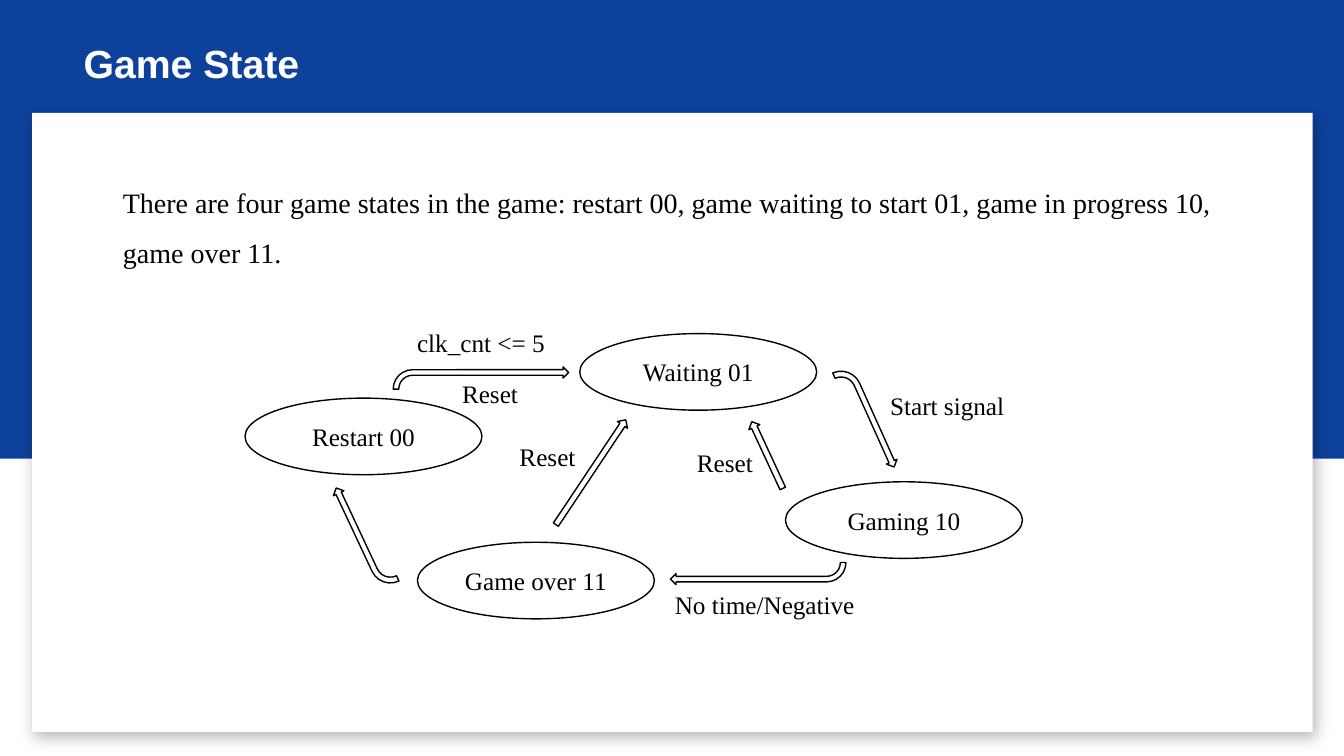
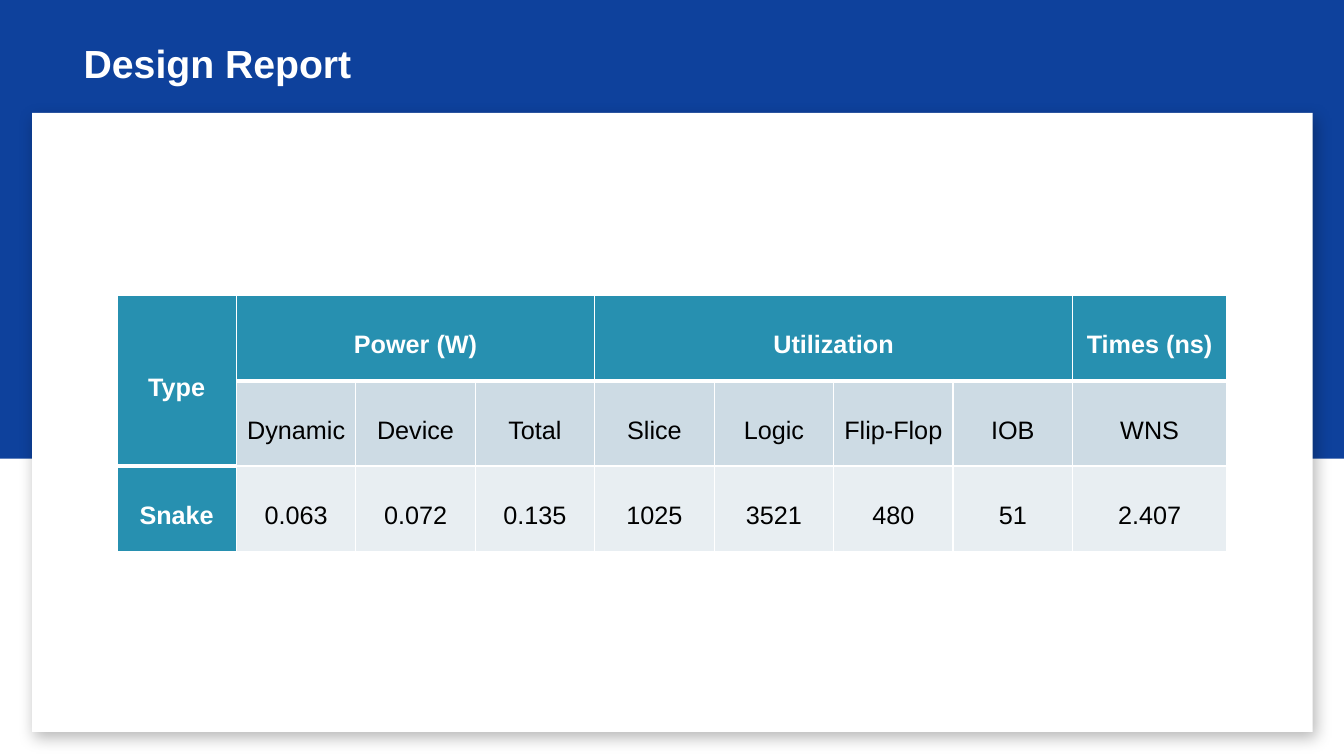
from lxml import etree
from pptx import Presentation
from pptx.dml.color import RGBColor
from pptx.enum.shapes import MSO_SHAPE
from pptx.enum.text import MSO_ANCHOR, MSO_AUTO_SIZE, PP_ALIGN
from pptx.oxml import parse_xml
from pptx.oxml.ns import nsdecls, qn
from pptx.util import Emu, Pt

RECTANGLE, OVAL = MSO_SHAPE.RECTANGLE, MSO_SHAPE.OVAL
BENT_ARROW, UP_ARROW = MSO_SHAPE.BENT_ARROW, MSO_SHAPE.UP_ARROW
LEFT, CENTER = PP_ALIGN.LEFT, PP_ALIGN.CENTER
TOP, MIDDLE, BOTTOM = MSO_ANCHOR.TOP, MSO_ANCHOR.MIDDLE, MSO_ANCHOR.BOTTOM
NO_AUTOFIT = MSO_AUTO_SIZE.NONE

EMU_PER_PX = 9144  # 100 px to the inch
SLIDE_SIZE = (1333, 750)
BLUE, WHITE, BLACK = "0E419C", "FFFFFF", "000000"
TEAL, SUBHEAD_FILL, VALUE_FILL = "2790B0", "CDDBE4", "E8EEF2"
SANS, SERIF = "Arial", "Times New Roman"

# Shared frame: left, top, width, height
BAND = (0, 0, 1333, 455)
PANEL = (32, 112, 1270, 614)
TITLE = (73, 27, 1187, 64)

# Game states
STATE_TITLE = "Game State"
INTRO = ("There are four game states in the game: restart 00, game waiting "
         "to start 01, game in progress 10, game over 11.")
INTRO_BOX = (112, 162, 1116, 105)
STATE_SIZE = (235, 76)
STATES = [("Restart 00", 243, 395), ("Waiting 01", 575, 331),
          ("Gaming 10", 779, 478), ("Game over 11", 414, 538)]
ARROWS = [  # shape, box, rotation
    (BENT_ARROW, (390, 364, 174, 22), 0),
    (BENT_ARROW, (665, 558, 174, 22), 180),
    (BENT_ARROW, (804, 404, 110, 23), 65.8),
    (BENT_ARROW, (307, 520, 110, 23), 244.9),
    (UP_ARROW, (580, 406, 12, 125), 33.7),
    (UP_ARROW, (755, 415, 12, 73), 335.1),
]
BENT_ADJUSTMENTS = (0.25, 0.25, 0.25, 0.875)
LABELS = [  # text, box, alignment
    ("clk_cnt <= 5", (391, 320, 172, 36), CENTER),
    ("No time/Negative", (642, 580, 233, 66), CENTER),
    ("Start signal", (873, 382, 169, 40), LEFT),
    ("Reset", (400, 370, 172, 40), CENTER),
    ("Reset", (457, 433, 172, 40), CENTER),
    ("Reset", (633, 439, 172, 40), CENTER),
]

# Design report
REPORT_TITLE = "Design Report"
REPORT_BOX = (116, 293, 1101, 254)
LAST_COLUMN = 153
REPORT_ROWS = [
    ["Type", "Power (W)", None, None, "Utilization", None, None, None,
     "Times (ns)"],
    [None, "Dynamic", "Device", "Total", "Slice", "Logic", "Flip-Flop",
     "IOB", "WNS"],
    ["Snake", "0.063", "0.072", "0.135", "1025", "3521", "480", "51",
     "2.407"],
]
MERGES = [((0, 0), (1, 0)), ((0, 1), (0, 3)), ((0, 4), (0, 7))]
ROW_FILLS = [TEAL, SUBHEAD_FILL, VALUE_FILL]


def px(value):
    return Emu(round(value * EMU_PER_PX))


def place(box):
    return [px(value) for value in box]


def color(value):
    return RGBColor.from_string(value)


def write(frame, text, size, font_name, text_color, align=LEFT, anchor=TOP,
          bold=False, spacing=None):
    frame.word_wrap = True
    frame.vertical_anchor = anchor
    paragraph = frame.paragraphs[0]
    paragraph.alignment = align
    if spacing:
        paragraph.line_spacing = spacing
    run = paragraph.add_run()
    run.text = text
    font = run.font
    font.size, font.name, font.bold = Pt(size), font_name, bold
    font.color.rgb = color(text_color)


def add_shape(slide, kind, box, fill=None, line=None):
    shape = slide.shapes.add_shape(kind, *place(box))
    shape.shadow.inherit = False
    if fill:
        shape.fill.solid()
        shape.fill.fore_color.rgb = color(fill)
    else:
        shape.fill.background()
    if line:
        shape.line.color.rgb = color(line)
        shape.line.width = Pt(1)
    else:
        shape.line.fill.background()
    return shape


def add_text(slide, box, text, size, **style):
    text_box = slide.shapes.add_textbox(*place(box))
    write(text_box.text_frame, text, size, SERIF, BLACK, **style)


def add_shadow(shape):
    effects = shape.element.spPr.find(qn("a:effectLst"))
    effects.append(parse_xml(
        f'<a:outerShdw {nsdecls("a")} blurRad="{Pt(11)}" dist="{Pt(5)}" '
        f'dir="{65 * 60000}" algn="t" rotWithShape="0">'
        f'<a:srgbClr val="{BLACK}"><a:alpha val="28000"/></a:srgbClr>'
        '</a:outerShdw>'))


def add_framed_slide(presentation, title_text):
    slide = presentation.slides.add_slide(presentation.slide_layouts[5])
    add_shape(slide, RECTANGLE, BAND, BLUE)
    add_shadow(add_shape(slide, RECTANGLE, PANEL, WHITE))
    title = slide.shapes.title
    title.left, title.top, title.width, title.height = place(TITLE)
    write(title.text_frame, title_text, 28, SANS, WHITE, anchor=BOTTOM,
          bold=True, spacing=0.9)
    title.text_frame.auto_size = NO_AUTOFIT
    # Bring the title in front of the band
    title.element.getparent().append(title.element)
    return slide


def add_borders(cell, thick_sides):
    properties = cell._tc.get_or_add_tcPr()
    for side in "LRTB":
        width = Pt(3 if side in thick_sides else 1)
        line = etree.SubElement(properties, qn(f"a:ln{side}"), w=str(width))
        fill = etree.SubElement(line, qn("a:solidFill"))
        etree.SubElement(fill, qn("a:srgbClr"), val=WHITE)


def build_states(presentation):
    slide = add_framed_slide(presentation, STATE_TITLE)
    add_text(slide, INTRO_BOX, INTRO, 20, spacing=1.5)
    for kind, box, rotation in ARROWS:
        arrow = add_shape(slide, kind, box, line=BLACK)
        arrow.rotation = rotation
        if kind == BENT_ARROW:
            for index, value in enumerate(BENT_ADJUSTMENTS):
                arrow.adjustments[index] = value
    for name, left, top in STATES:
        state = add_shape(slide, OVAL, (left, top, *STATE_SIZE), line=BLACK)
        write(state.text_frame, name, 18, SERIF, BLACK, CENTER, MIDDLE)
    for text, box, align in LABELS:
        add_text(slide, box, text, 18, align=align)


def build_report(presentation):
    slide = add_framed_slide(presentation, REPORT_TITLE)
    row_count, column_count = len(REPORT_ROWS), len(REPORT_ROWS[0])
    table = slide.shapes.add_table(row_count, column_count,
                                   *place(REPORT_BOX)).table
    table.first_row = table.horz_banding = False

    # Equal columns, then a wider last one
    column_width = (REPORT_BOX[2] - LAST_COLUMN) / (column_count - 1)
    for column in table.columns:
        column.width = px(column_width)
    table.columns[column_count - 1].width = px(LAST_COLUMN)
    for row in table.rows:
        row.height = px(REPORT_BOX[3] / row_count)
    for first, last in MERGES:
        table.cell(*first).merge(table.cell(*last))

    for row_index, texts in enumerate(REPORT_ROWS):
        for column_index, text in enumerate(texts):
            cell = table.cell(row_index, column_index)
            header = row_index == 0 or column_index == 0
            # The thick rule runs below the header, one row lower for Type
            rule_row = 1 if column_index == 0 else 0
            thick = {rule_row: "B", rule_row + 1: "T"}.get(row_index, "")
            if (row_index, column_index) == (0, 0):
                thick = "B"
            add_borders(cell, thick)
            cell.fill.solid()
            cell.fill.fore_color.rgb = color(
                TEAL if header else ROW_FILLS[row_index])
            cell.margin_left = cell.margin_right = px(7)
            cell.margin_top = cell.margin_bottom = 0
            cell.vertical_anchor = MIDDLE
            if text:
                write(cell.text_frame, text, 18, SANS,
                      WHITE if header else BLACK, CENTER, MIDDLE,
                      bold=header, spacing=1.5)


def main():
    presentation = Presentation()
    presentation.slide_width, presentation.slide_height = place(SLIDE_SIZE)
    build_states(presentation)
    build_report(presentation)
    presentation.save("out.pptx")


if __name__ == "__main__":
    main()
